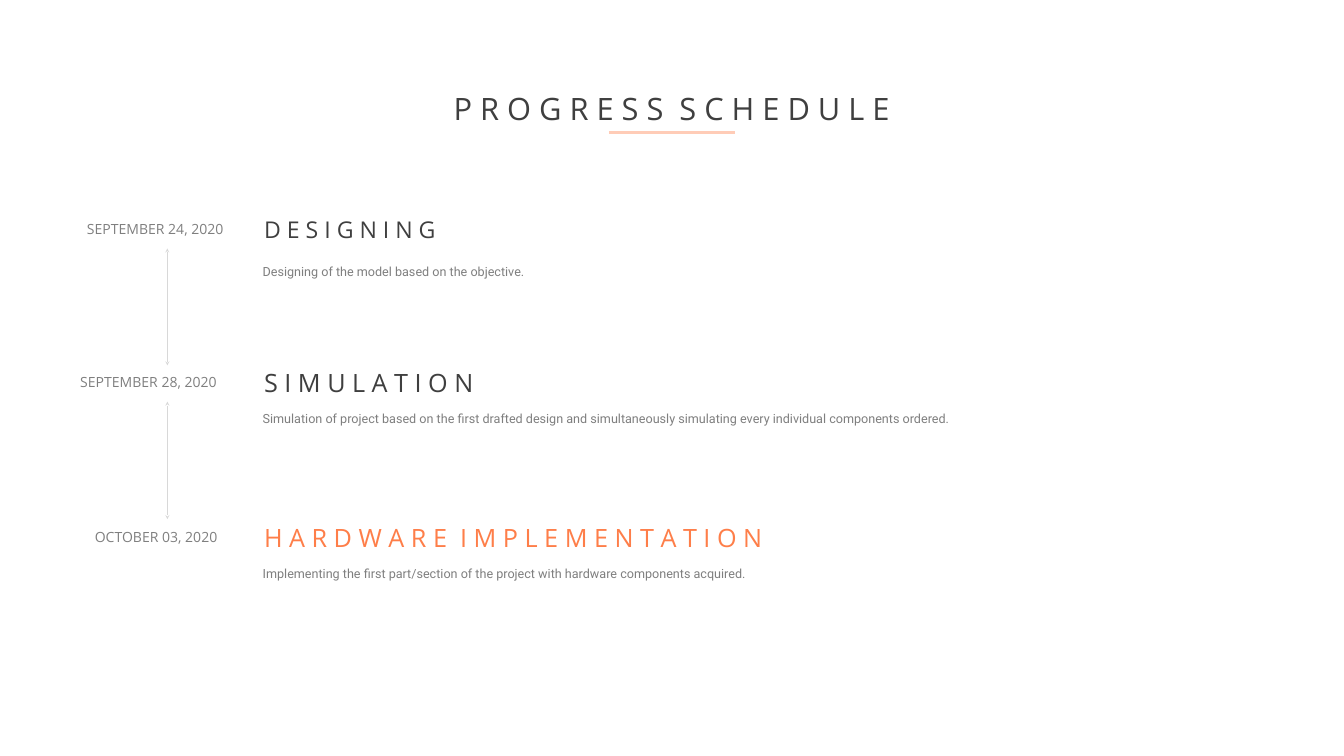
from dataclasses import dataclass

from lxml import etree
from pptx import Presentation
from pptx.dml.color import RGBColor
from pptx.enum.shapes import MSO_CONNECTOR
from pptx.enum.text import MSO_ANCHOR, MSO_AUTO_SIZE, PP_ALIGN
from pptx.oxml.ns import qn
from pptx.slide import Slide
from pptx.text.text import TextFrame
from pptx.util import Inches, Pt

STRAIGHT = MSO_CONNECTOR.STRAIGHT
TOP, MIDDLE = MSO_ANCHOR.TOP, MSO_ANCHOR.MIDDLE
FIT_SHAPE = MSO_AUTO_SIZE.SHAPE_TO_FIT_TEXT
LEFT, CENTER, RIGHT, JUSTIFY = (
    PP_ALIGN.LEFT, PP_ALIGN.CENTER, PP_ALIGN.RIGHT, PP_ALIGN.JUSTIFY)

HEADING_FONT, BODY_FONT = "Open Sans", "Roboto"
DARK, GRAY, PALE_GRAY = "3F3F3F", "7F7F7F", "D8D8D8"
ORANGE, PEACH = "FE7E49", "FFCCB7"

Box = tuple[float, float, float, float]
Point = tuple[float, float]
NARROW_INSETS: Box = (0.1, 0.05, 0.1, 0.05)
WIDE_INSETS: Box = (0.24, 0.12, 0.24, 0.12)


@dataclass(frozen=True)
class TextStyle:
    size: float
    color: str
    font: str = HEADING_FONT
    align: PP_ALIGN = LEFT
    anchor: MSO_ANCHOR = MIDDLE
    insets: Box = NARROW_INSETS
    line_spacing: float = 1.0


@dataclass(frozen=True)
class Milestone:
    date: str
    date_box: Box
    date_align: PP_ALIGN
    heading: str
    heading_box: Box
    heading_size: float
    heading_color: str
    details: str
    details_box: Box
    details_align: PP_ALIGN
    details_spacing: float


MILESTONES = [
    Milestone("SEPTEMBER 24, 2020", (1.41, 4.33, 3.34, 0.44), CENTER,
              "D E S I G N I N G", (5.14, 4.25, 7.47, 0.61), 33, DARK,
              "Designing of the model based on the objective.",
              (4.97, 4.95, 19.39, 0.59), LEFT, 1.56),
    Milestone("SEPTEMBER 28, 2020", (1.2, 7.36, 3.2, 0.44), RIGHT,
              "S I M U L A T I O N", (5.14, 7.28, 8.19, 0.61), 36, DARK,
              "Simulation of project based on the first drafted design and "
              "simultaneously simulating every individual components ordered.",
              (4.97, 7.97, 19.39, 0.56), JUSTIFY, 1.2),
    Milestone("OCTOBER 03, 2020", (1.42, 10.43, 2.99, 0.44), RIGHT,
              "H A R D W A R E  I M P L E M E N T A T I O N",
              (5.14, 10.35, 12.84, 0.61), 36, ORANGE,
              "Implementing the first part/section of the project with "
              "hardware components acquired.",
              (4.97, 11.04, 19.39, 0.56), JUSTIFY, 1.2),
]

ARROW_X = 3.32
ARROW_SPANS = [(4.93, 7.25), (7.97, 10.3)]


def rgb(color: str) -> RGBColor:
    return RGBColor.from_string(color)


def write_text(frame: TextFrame, text: str, style: TextStyle) -> None:
    frame.word_wrap = True
    frame.auto_size = FIT_SHAPE
    frame.vertical_anchor = style.anchor
    (frame.margin_left, frame.margin_top,
     frame.margin_right, frame.margin_bottom) = map(Inches, style.insets)
    paragraph = frame.paragraphs[0]
    paragraph.text = text
    paragraph.alignment = style.align
    paragraph.line_spacing = style.line_spacing
    paragraph.space_before = Pt(0)
    paragraph.font.name = style.font
    paragraph.font.size = Pt(style.size)
    paragraph.font.color.rgb = rgb(style.color)


def add_text(slide: Slide, box: Box, text: str, style: TextStyle) -> None:
    textbox = slide.shapes.add_textbox(*map(Inches, box))
    write_text(textbox.text_frame, text, style)


def add_line(slide: Slide, start: Point, end: Point, color: str,
             width: float, arrows: bool = False) -> None:
    """Draw a straight line, with arrowheads at both ends if arrows is set."""
    connector = slide.shapes.add_connector(
        STRAIGHT, *map(Inches, (*start, *end)))
    connector.line.color.rgb = rgb(color)
    connector.line.width = Pt(width)
    if arrows:
        outline = connector.line._get_or_add_ln()
        for tag in ("a:headEnd", "a:tailEnd"):
            etree.SubElement(outline, qn(tag), type="stealth")
    etree.SubElement(connector._element.spPr, qn("a:effectLst"))


def add_title(slide: Slide) -> None:
    title = slide.shapes.title
    title.left, title.top, title.width, title.height = map(
        Inches, (7.87, 1.2, 10.92, 1.01))
    write_text(title.text_frame, "P R O G R E S S  S C H E D U L E",
               TextStyle(44, DARK, align=CENTER,
                         insets=(0.1, 0.5, 0.1, 0.05), line_spacing=1.6))
    add_line(slide, (12.08, 2.63), (14.58, 2.63), PEACH, 3)


def add_milestone(slide: Slide, milestone: Milestone) -> None:
    add_text(slide, milestone.date_box, milestone.date,
             TextStyle(20, GRAY, align=milestone.date_align))
    add_text(slide, milestone.heading_box, milestone.heading,
             TextStyle(milestone.heading_size, milestone.heading_color))
    add_text(slide, milestone.details_box, milestone.details,
             TextStyle(18, GRAY, BODY_FONT, milestone.details_align, TOP,
                       WIDE_INSETS, milestone.details_spacing))


def main() -> None:
    presentation = Presentation()
    presentation.slide_width = Inches(26.66)
    presentation.slide_height = Inches(15)
    title_only = presentation.slide_layouts.get_by_name("Title Only")
    slide = presentation.slides.add_slide(title_only)

    add_title(slide)
    for milestone in MILESTONES:
        add_milestone(slide, milestone)
    for top, bottom in ARROW_SPANS:
        add_line(slide, (ARROW_X, top), (ARROW_X, bottom), PALE_GRAY, 0.75,
                 arrows=True)
    presentation.save("out.pptx")


if __name__ == "__main__":
    main()
